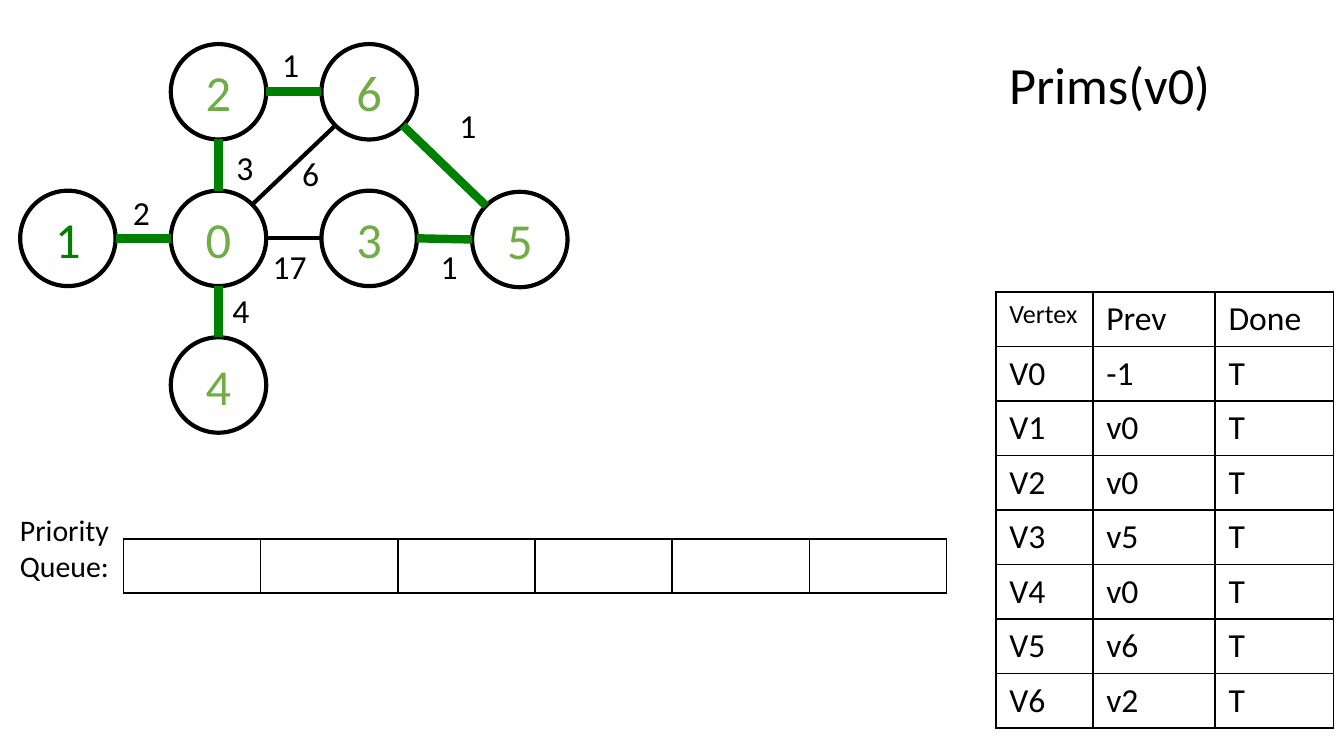
from math import hypot

from lxml import etree
from pptx import Presentation
from pptx.dml.color import RGBColor
from pptx.enum.shapes import MSO_CONNECTOR as Connector, MSO_SHAPE as Shape
from pptx.enum.text import MSO_ANCHOR as Anchor, PP_ALIGN as Align
from pptx.oxml.ns import qn
from pptx.util import Pt

# Content
BLACK, GREEN, LIGHT_GREEN, WHITE = "000000", "008000", "70AD47", "FFFFFF"
VERTICES = {  # label: (column, row, text colour)
    "0": (1, 1, LIGHT_GREEN), "1": (0, 1, GREEN), "2": (1, 0, LIGHT_GREEN),
    "3": (2, 1, LIGHT_GREEN), "4": (1, 2, LIGHT_GREEN),
    "5": (3, 1, LIGHT_GREEN), "6": (2, 0, LIGHT_GREEN),
}
EDGES = [  # from, to, weight, weight left and top, in the spanning tree
    ("1", "0", "2", 64.1, 99.4, True),
    ("0", "2", "3", 119.5, 74.9, True),
    ("0", "4", "4", 117.4, 151.9, True),
    ("2", "6", "1", 144, 20.2, True),
    ("5", "6", "1", 239, 52.6, True),
    ("3", "5", "1", 229, 128.2, True),
    ("0", "3", "17", 139, 128.2, False),
    ("0", "6", "6", 154.8, 78.5, False),
]
CAPTIONS = [  # text, left, top, width, height, size
    ("Priority Queue:", 3.6, 270.7, 109.4, 46, 16),
    ("Prims(v0)", 533.5, 24.5, 150.5, 41, 28),
]
PREVIOUS = ["-1", "v0", "v0", "v5", "v0", "v6", "v2"]
VERTEX_ROWS = [("Vertex", "Prev", "Done")] + [
    (f"V{number}", previous, "T") for number, previous in enumerate(PREVIOUS)]
QUEUE_ROWS = [[""] * 6]

# Graph grid
DIAMETER, LEFT, TOP, STEP_X, STEP_Y = 51.1, 10.8, 23.6, 80.7, 78.55
NUDGE = {"5": 0.6}

presentation = Presentation()
presentation.slide_width, presentation.slide_height = Pt(720), Pt(405)
slide = presentation.slides.add_slide(presentation.slide_layouts[6])
shapes = slide.shapes


def color(value):
    return RGBColor.from_string(value)


def write(frame, text, size, text_color=BLACK, align=Align.LEFT):
    paragraph = frame.paragraphs[0]
    paragraph.alignment = align
    run = paragraph.add_run()
    run.text = text
    for name, value in {"name": "Calibri", "size": Pt(size)}.items():
        setattr(run.font, name, value)
    run.font.color.rgb = color(text_color)


def add_text(text, left, top, width, height, size):
    frame = shapes.add_textbox(Pt(left), Pt(top), Pt(width), Pt(height)).text_frame
    frame.word_wrap = True
    write(frame, text, size)


def corner(label):
    column, row, _ = VERTICES[label]
    return LEFT + column * STEP_X, TOP + row * STEP_Y + NUDGE.get(label, 0)


def rim_point(label, other):
    """Point on the circle in the compass direction of the other vertex."""
    (column, row, _), (to_column, to_row, _) = VERTICES[label], VERTICES[other]
    x = (to_column > column) - (to_column < column)
    y = (to_row > row) - (to_row < row)
    left, top = corner(label)
    radius = DIAMETER / 2
    return (Pt(left + radius + radius * x / hypot(x, y)),
            Pt(top + radius + radius * y / hypot(x, y)))


def add_vertex(label, text_color):
    left, top = corner(label)
    circle = shapes.add_shape(Shape.OVAL, Pt(left), Pt(top), Pt(DIAMETER), Pt(DIAMETER))
    circle.shadow.inherit = False
    circle.fill.background()
    circle.line.color.rgb = color(BLACK)
    circle.line.width = Pt(2.25)
    frame = circle.text_frame
    margins = {"margin_left": Pt(5.4), "margin_right": Pt(5.4),
               "margin_top": Pt(2.7), "margin_bottom": Pt(2.7)}
    for name, value in {**margins, "vertical_anchor": Anchor.MIDDLE}.items():
        setattr(frame, name, value)
    write(frame, label, 27, text_color, Align.CENTER)


def add_edge(start, end, in_tree):
    edge = shapes.add_connector(
        Connector.STRAIGHT, *rim_point(start, end), *rim_point(end, start))
    edge.line.color.rgb = color(GREEN if in_tree else BLACK)
    edge.line.width = Pt(4.5 if in_tree else 2.25)
    etree.SubElement(edge.element.spPr, qn("a:effectLst"))


def add_borders(cell):
    properties = cell._tc.get_or_add_tcPr()
    for position, side in enumerate(("lnL", "lnR", "lnT", "lnB")):
        border = etree.Element(qn(f"a:{side}"), w=str(Pt(1)))
        fill = etree.SubElement(border, qn("a:solidFill"))
        etree.SubElement(fill, qn("a:srgbClr"), val=BLACK)
        properties.insert(position, border)


def add_grid(rows, left, top, widths, row_height):
    table = shapes.add_table(len(rows), len(widths), Pt(left), Pt(top),
                             Pt(sum(widths)), Pt(row_height * len(rows))).table
    table.first_row = table.horz_banding = False
    for column, width in zip(table.columns, widths):
        column.width = Pt(width)
    for row, texts in zip(table.rows, rows):
        row.height = Pt(row_height)
        for cell, text in zip(row.cells, texts):
            cell.fill.solid()
            cell.fill.fore_color.rgb = color(WHITE)
            add_borders(cell)
            if text:
                write(cell.text_frame, text, 14 if text == "Vertex" else 18)


# Graph
for label, (_, _, text_color) in VERTICES.items():
    add_vertex(label, text_color)
for start, end, weight, left, top, in_tree in EDGES:
    add_edge(start, end, in_tree)
    add_text(weight, left, top, 20.9 if len(weight) == 1 else 33.5, 29, 18)

# Tables and captions
add_grid(QUEUE_ROWS, 66.2, 288.7, [73.5] * 6, 28.8)
add_grid(VERTEX_ROWS, 533.5, 156.5, [52, 65.5, 63.5], 29.2)
for caption in CAPTIONS:
    add_text(*caption)

presentation.save("out.pptx")
